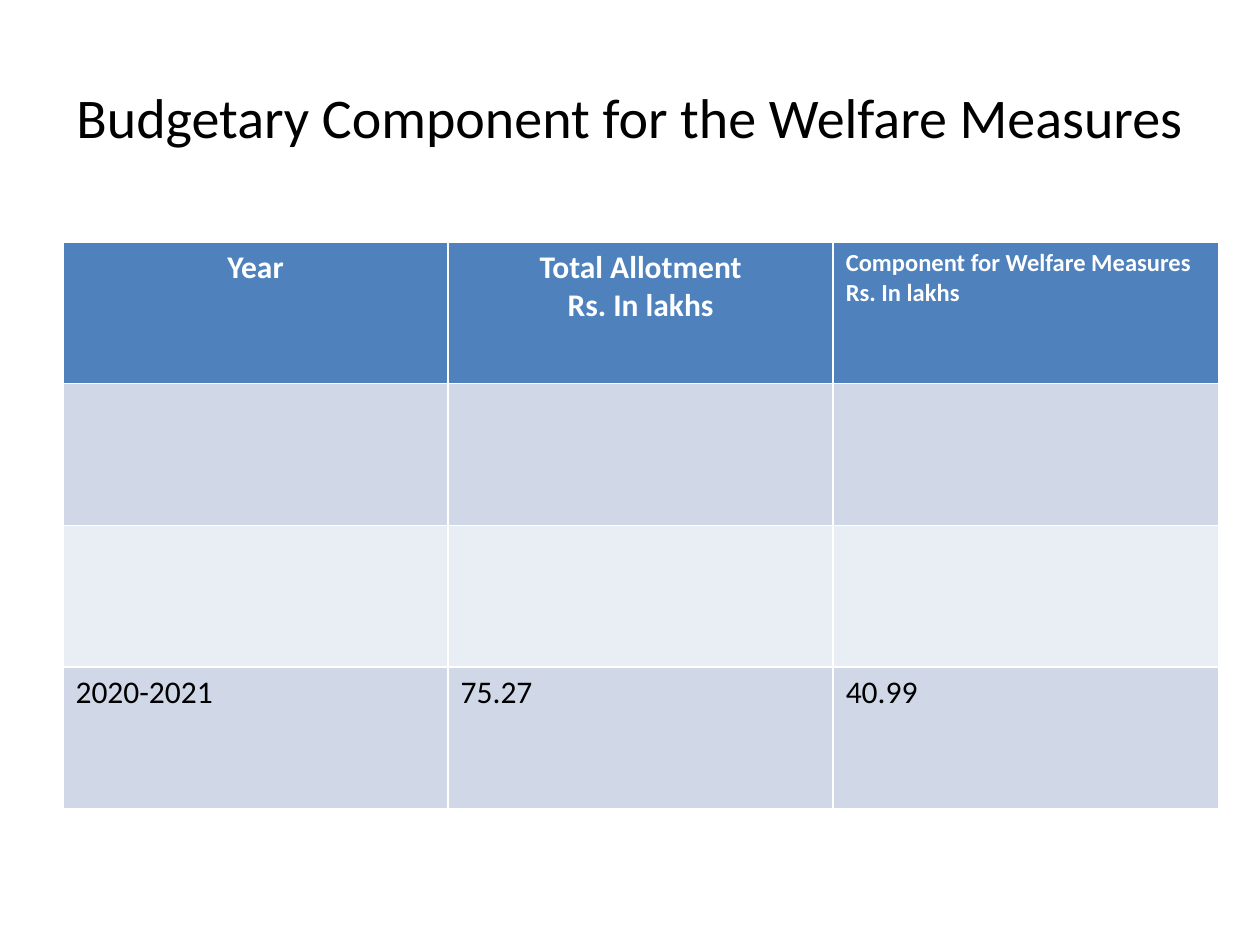
"""Build a slide with a table of the yearly budget for welfare measures."""
import pptx
import pptx.dml.color
import pptx.enum.text
import pptx.util

Inches = pptx.util.Inches
Pt = pptx.util.Pt
RGBColor = pptx.dml.color.RGBColor
ALIGN = pptx.enum.text.PP_ALIGN

BLACK = RGBColor(0x00, 0x00, 0x00)
WHITE = RGBColor(0xFF, 0xFF, 0xFF)
HEADER_BLUE = RGBColor(0x4F, 0x81, 0xBD)
BAND_DARK = RGBColor(0xD0, 0xD8, 0xE8)
BAND_LIGHT = RGBColor(0xE9, 0xED, 0xF4)


def write_lines(frame, lines, size, color, bold, align):
    for index, line in enumerate(lines):
        para = frame.paragraphs[0] if index == 0 else frame.add_paragraph()
        para.alignment = align
        span = para.add_run()
        span.text = line
        span.font.name = "Calibri"
        span.font.size = Pt(size)
        span.font.bold = bold
        span.font.color.rgb = color


deck = pptx.Presentation()
deck.slide_width = Inches(10)
deck.slide_height = Inches(7.5)
page = deck.slides.add_slide(deck.slide_layouts[6])

title_box = page.shapes.add_textbox(Inches(0.5), Inches(0.3), Inches(9), Inches(1.25))
title_box.text_frame.word_wrap = True
title_box.text_frame.vertical_anchor = pptx.enum.text.MSO_ANCHOR.MIDDLE
write_lines(title_box.text_frame, ["Budgetary Component for the Welfare Measures"],
            32, BLACK, False, ALIGN.CENTER)

headers = [
    (["Year"], 18, ALIGN.CENTER),
    (["Total Allotment", "Rs. In lakhs"], 18, ALIGN.CENTER),
    (["Component for Welfare Measures", "Rs. In lakhs"], 14, ALIGN.LEFT),
]
figures = ["2020-2021", "75.27", "40.99"]
row_fills = [HEADER_BLUE, BAND_DARK, BAND_LIGHT, BAND_DARK]

budget = page.shapes.add_table(len(row_fills), len(headers), Inches(0.5), Inches(1.92),
                               Inches(9.17), Inches(4.5)).table
for row, fill in zip(budget.rows, row_fills):
    for cell in row.cells:
        cell.fill.solid()
        cell.fill.fore_color.rgb = fill

for column, (lines, size, align) in enumerate(headers):
    write_lines(budget.cell(0, column).text_frame, lines, size, WHITE, True, align)

for column, figure in enumerate(figures):
    write_lines(budget.cell(3, column).text_frame, [figure], 18, BLACK, False, ALIGN.LEFT)

deck.save("out.pptx")
